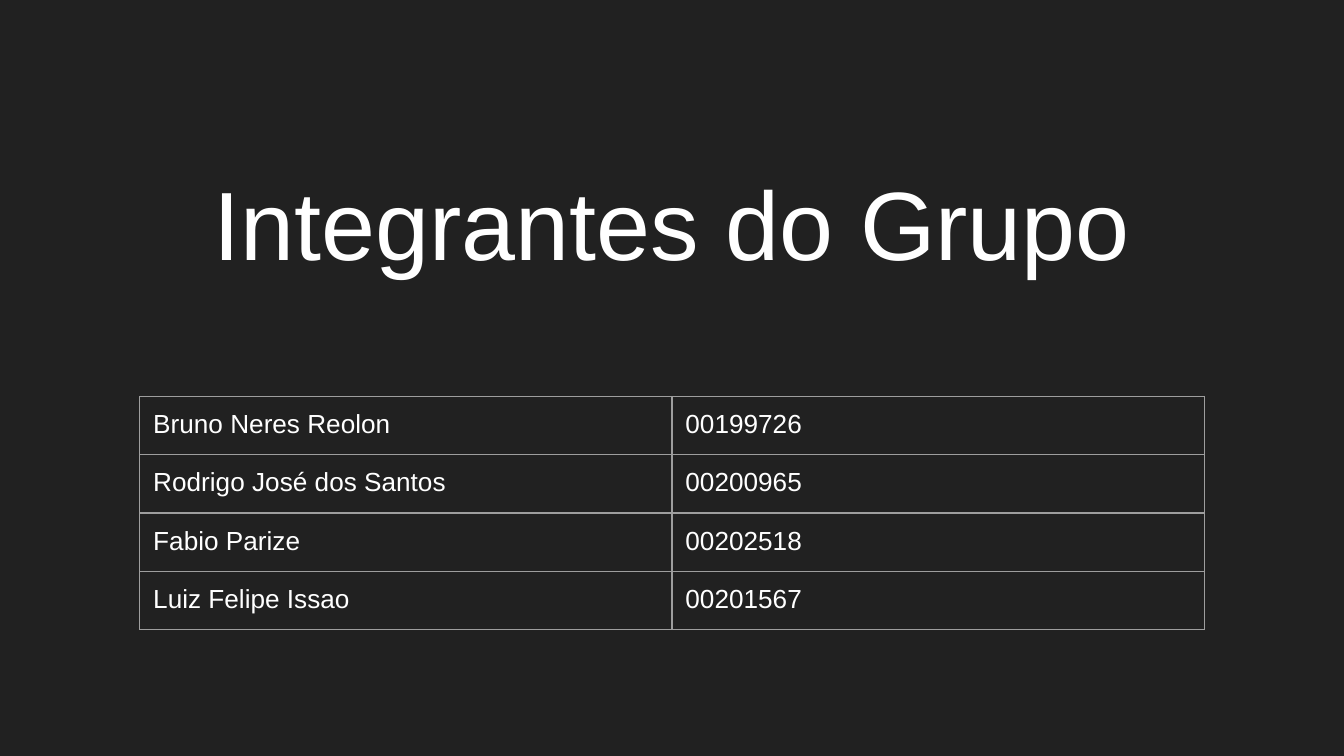
from dataclasses import dataclass

from lxml.etree import SubElement
from pptx import Presentation
from pptx.dml.color import RGBColor
from pptx.enum.text import MSO_ANCHOR, PP_ALIGN
from pptx.oxml.ns import qn
from pptx.util import Inches, Pt


@dataclass(frozen=True)
class Theme:
    font: str = "Arial"
    background: str = "212121"
    text: str = "FFFFFF"
    border: str = "9E9E9E"
    border_width: float = 0.75
    title_size: int = 52
    table_size: int = 14
    inset: float = 0.1


THEME = Theme()
SLIDE_WIDTH = 10
SLIDE_HEIGHT = SLIDE_WIDTH * 9 / 16
MEMBERS = [
    ("Bruno Neres Reolon", "00199726"),
    ("Rodrigo José dos Santos", "00200965"),
    ("Fabio Parize", "00202518"),
    ("Luiz Felipe Issao", "00201567"),
]


def write_text(frame, text, *, size, align=PP_ALIGN.LEFT, color=THEME.text):
    para = frame.paragraphs[0]
    para.alignment = align
    span = para.add_run()
    span.text = text
    span.font.name = THEME.font
    span.font.size = Pt(size)
    span.font.color.rgb = RGBColor.from_string(color)


def set_margins(target):
    for side in ("left", "top", "right", "bottom"):
        setattr(target, f"margin_{side}", Inches(THEME.inset))


def set_borders(cell):
    properties = cell._tc.get_or_add_tcPr()
    for tag in ("a:lnL", "a:lnR", "a:lnT", "a:lnB"):
        line = SubElement(properties, qn(tag), w=str(Pt(THEME.border_width)))
        fill = SubElement(line, qn("a:solidFill"))
        SubElement(fill, qn("a:srgbClr"), val=THEME.border)


def add_title(page, text, left, top, width, height):
    box = page.shapes.add_textbox(
        Inches(left), Inches(top), Inches(width), Inches(height)
    )
    frame = box.text_frame
    frame.word_wrap = True
    frame.vertical_anchor = MSO_ANCHOR.BOTTOM
    set_margins(frame)
    write_text(frame, text, size=THEME.title_size, align=PP_ALIGN.CENTER)


def add_grid(page, rows, left, top, *, column_width, row_height, frame_size):
    columns = len(rows[0])
    holder = page.shapes.add_table(
        len(rows), columns, Inches(left), Inches(top),
        Inches(column_width * columns), Inches(row_height * len(rows)),
    )
    holder.width = holder.height = Inches(frame_size)
    table = holder.table
    table.first_row = False
    table.horz_banding = False
    for row_index, row in enumerate(rows):
        for column_index, text in enumerate(row):
            cell = table.cell(row_index, column_index)
            set_margins(cell)
            set_borders(cell)
            cell.fill.background()
            write_text(cell.text_frame, text, size=THEME.table_size)


def main():
    deck = Presentation()
    deck.slide_width = Inches(SLIDE_WIDTH)
    deck.slide_height = Inches(SLIDE_HEIGHT)
    page = deck.slides.add_slide(deck.slide_layouts[6])
    page.background.fill.solid()
    page.background.fill.fore_color.rgb = RGBColor.from_string(THEME.background)
    add_title(page, "Integrantes do Grupo", 0.34, 0.81, 9.32, 1.37)
    add_grid(
        page, MEMBERS, 1.04, 2.95,
        column_width=3.96, row_height=0.42, frame_size=3.28,
    )
    deck.save("out.pptx")


main()
